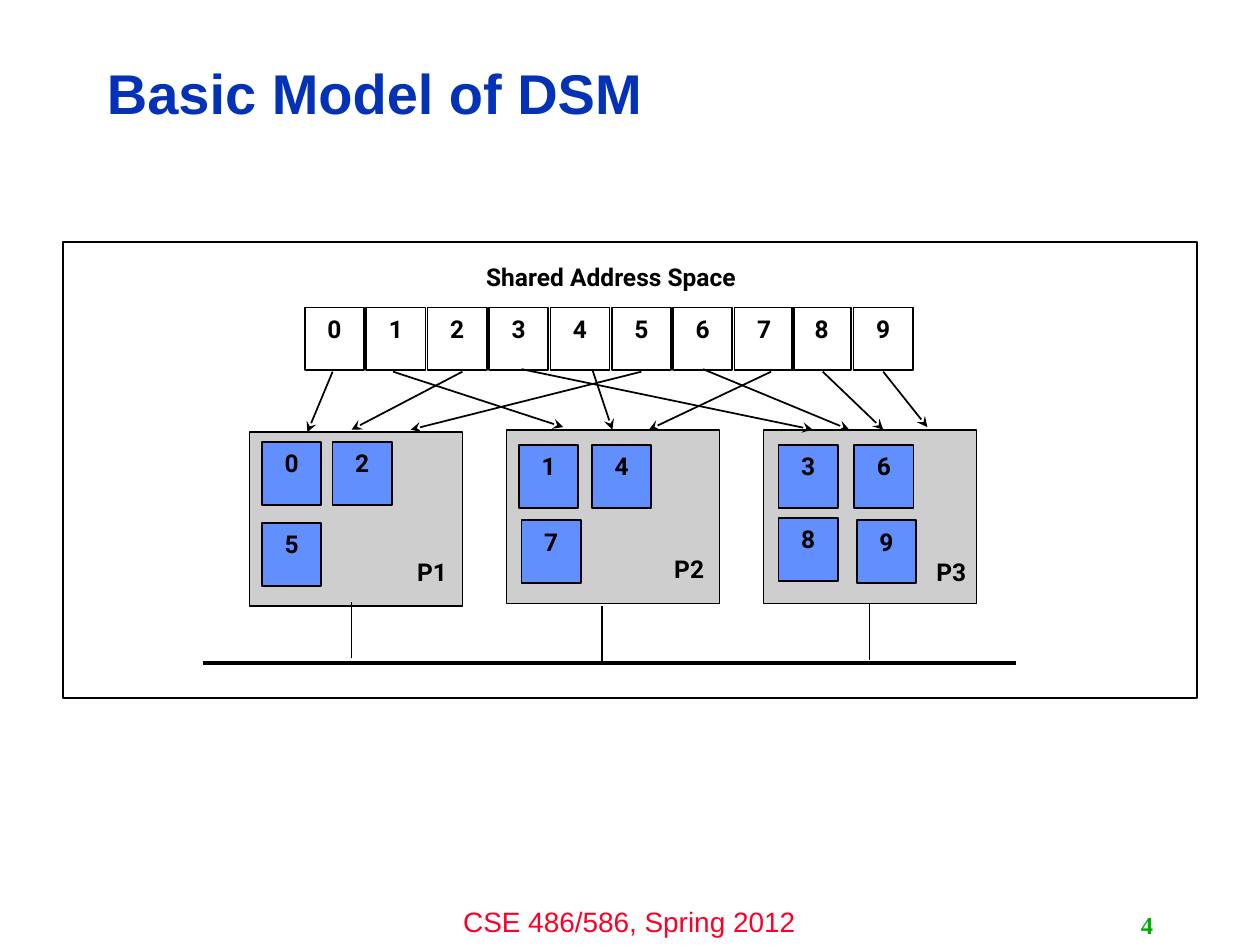
from lxml import etree
from pptx import Presentation
from pptx.dml.color import RGBColor
from pptx.enum.shapes import MSO_CONNECTOR, MSO_SHAPE
from pptx.enum.text import MSO_ANCHOR, PP_ALIGN
from pptx.oxml.ns import qn
from pptx.util import Inches, Pt

RECTANGLE = MSO_SHAPE.RECTANGLE
STRAIGHT = MSO_CONNECTOR.STRAIGHT
TOP, MIDDLE = MSO_ANCHOR.TOP, MSO_ANCHOR.MIDDLE
LEFT, CENTER, RIGHT = PP_ALIGN.LEFT, PP_ALIGN.CENTER, PP_ALIGN.RIGHT

BLACK, GRAY, PAGE_BLUE = "000000", "CECECE", "618FFD"
TITLE_BLUE, RED, GREEN = "0332B7", "FC0128", "00AE00"


def color(value):
    return RGBColor.from_string(value)


class Diagram:
    """Draws elements in one style on the current slide."""
    font = "Roboto"
    size = 14
    page_size = (0.47, 0.5)

    def __init__(self, slide):
        self.shapes = slide.shapes

    def set_text(self, shape, words, font=None, size=None, ink=BLACK,
                 bold=True, align=CENTER, anchor=TOP):
        frame = shape.text_frame
        frame.word_wrap = True
        frame.vertical_anchor = anchor
        paragraph = frame.paragraphs[0]
        paragraph.text = words
        paragraph.alignment = align
        paragraph.font.name = font or self.font
        paragraph.font.size = Pt(size or self.size)
        paragraph.font.bold = bold
        paragraph.font.color.rgb = color(ink)
        return paragraph

    def label(self, words, left, top, width, height, **style):
        box = self.shapes.add_textbox(*map(Inches, (left, top, width, height)))
        return self.set_text(box, words, **style)

    def box(self, left, top, width, height, fill=None):
        shape = self.shapes.add_shape(
            RECTANGLE, *map(Inches, (left, top, width, height)))
        shape.shadow.inherit = False
        if fill:
            shape.fill.solid()
            shape.fill.fore_color.rgb = color(fill)
        else:
            shape.fill.background()
        shape.line.color.rgb = color(BLACK)
        shape.line.width = Pt(1)
        return shape

    def page(self, number, left, top, fill=None):
        self.set_text(self.box(left, top, *self.page_size, fill), str(number))

    def line(self, start, end, width=1, arrow=False):
        connector = self.shapes.add_connector(
            STRAIGHT, *map(Inches, (*start, *end)))
        connector.line.color.rgb = color(BLACK)
        connector.line.width = Pt(width)
        properties = connector._element.spPr
        if arrow:
            etree.SubElement(properties.find(qn("a:ln")),
                             qn("a:tailEnd"), type="stealth")
        etree.SubElement(properties, qn("a:effectLst"))


presentation = Presentation()
presentation.slide_width = Inches(10)
presentation.slide_height = Inches(7.5)
blank = presentation.slide_layouts[6]
diagram = Diagram(presentation.slides.add_slide(blank))

# Title, footer and slide number
title = diagram.label("Basic Model of DSM", 0.75, 0.36, 7.98, 0.81, font="Arial",
                      size=32, ink=TITLE_BLUE, align=LEFT, anchor=MIDDLE)
title.line_spacing = 0.9
diagram.label("CSE 486/586, Spring 2012", 3.33, 7.13, 3.33, 0.37,
              font="Arial", size=16, ink=RED, bold=False)
diagram.label("4", 7.17, 7.18, 2.08, 0.32, font="Times New Roman",
              ink=GREEN, align=RIGHT, anchor=MIDDLE)

# Frame and shared address space; the last two pages sit slightly closer
diagram.box(0.5, 1.92, 9, 3.62)
diagram.label("Shared Address Space", 2.79, 2.03, 4.12, 0.47)
for number in range(10):
    nudge = 0.03 if number >= 8 else 0
    diagram.page(number, 2.42 + number * 3.41 / 7 - nudge, 2.44)

# Processors: name, left, top, label position, bus link (x, top, bottom),
# and local pages (number, left, top)
processors = [
    ("P1", 1.98, 3.43, (3.05, 4.37), (2.79, 4.78, 5.22),
     [(0, 2.08, 3.51), (2, 2.64, 3.51), (5, 2.08, 4.15)]),
    ("P2", 4.02, 3.41, (5.09, 4.35), (4.78, 4.81, 5.26),
     [(1, 4.12, 3.53), (4, 4.7, 3.53), (7, 4.14, 4.13)]),
    ("P3", 6.06, 3.41, (7.17, 4.37), (6.9, 4.79, 5.24),
     [(3, 6.18, 3.53), (6, 6.78, 3.53), (8, 6.18, 4.11), (9, 6.8, 4.13)]),
]
for name, left, top, name_at, (link_x, link_top, link_bottom), pages in processors:
    diagram.box(left, top, 1.69, 1.38, GRAY)
    diagram.line((link_x, link_top), (link_x, link_bottom))
    for number, page_left, page_top in pages:
        diagram.page(number, page_left, page_top, PAGE_BLUE)
    diagram.label(name, *name_at, 0.76, 0.48)

# Bus
diagram.line((1.61, 5.26), (8.06, 5.26), width=2.25)

# Mapping of shared pages 0 to 9 to the processors
mappings = [
    ((2.64, 2.95), (2.44, 3.43)),
    ((3.12, 2.95), (4.47, 3.39)),
    ((3.67, 2.95), (2.79, 3.41)),
    ((4.14, 2.93), (6.45, 3.41)),
    ((4.7, 2.93), (4.86, 3.41)),
    ((5.09, 2.95), (3.26, 3.41)),
    ((5.58, 2.93), (6.74, 3.41)),
    ((6.12, 2.95), (5.15, 3.41)),
    ((6.53, 2.95), (7.01, 3.41)),
    ((7.01, 2.95), (7.36, 3.39)),
]
for shared_page, processor in mappings:
    diagram.line(shared_page, processor, arrow=True)

presentation.save("out.pptx")
